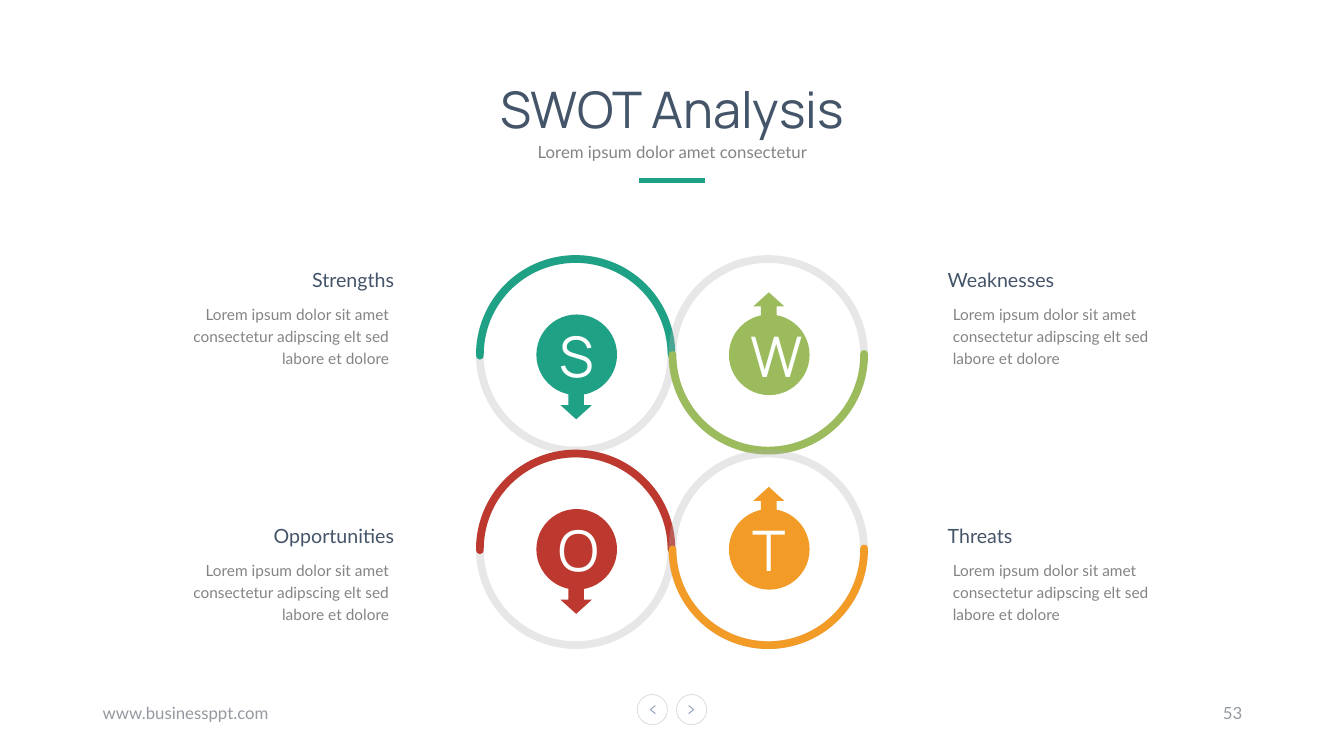
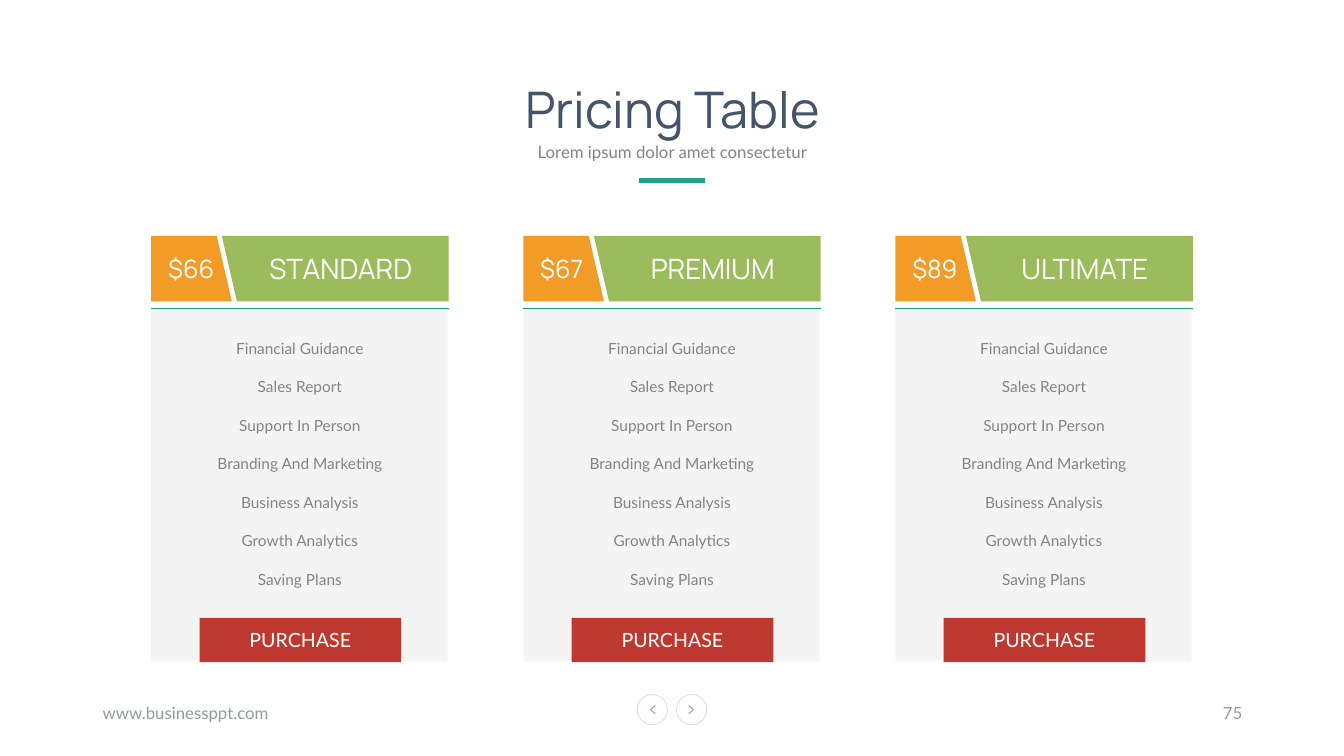
from dataclasses import dataclass, replace
from typing import Any, Optional

from lxml.etree import SubElement
from pptx import Presentation
from pptx.dml.color import RGBColor
from pptx.enum.shapes import MSO_CONNECTOR as Connector, MSO_SHAPE as Preset
from pptx.enum.text import MSO_ANCHOR as Anchor, MSO_AUTO_SIZE as AutoSize, PP_ALIGN as Align
from pptx.oxml.ns import qn
from pptx.util import Pt

EMU_PER_PX = 9144
COMPARISON_LAYOUT = 3 + 1


@dataclass(frozen=True)
class Theme:
    heading_font: str = "Manrope"
    body_font: str = "Lato"
    navy: str = "445469"
    grey: str = "848484"
    footer: str = "9499A1"
    teal: str = "1EA185"
    green: str = "9BBB5C"
    red: str = "BD392F"
    orange: str = "F29B26"
    ring: str = "B2B2B2"
    panel: str = "F2F2F2"
    outline: str = "D9D9D9"
    chevron: str = "99A8BD"
    white: str = "FFFFFF"
    letter: str = "FEFFFF"
    title_size: int = 36
    letter_size: int = 40
    plan_size: int = 20
    price_size: int = 18
    label_size: int = 14
    small_size: int = 12
    body_size: int = 11


THEME = Theme()


@dataclass(frozen=True)
class TextStyle:
    size: int
    color: str
    font: str = THEME.body_font
    align: Align = Align.LEFT
    anchor: Anchor = Anchor.TOP
    spacing: float = 1.0
    gap: float = 0
    inset: int = 10
    wrap: bool = True


@dataclass(frozen=True)
class Box:
    left: int
    top: int
    width: int
    height: int

    def emu(self) -> tuple[int, ...]:
        return tuple(px(v) for v in (self.left, self.top, self.width, self.height))


@dataclass(frozen=True)
class Quadrant:
    name: str
    color: str
    column: int
    row: int


@dataclass(frozen=True)
class Plan:
    name: str
    price: str


TITLE = TextStyle(THEME.title_size, THEME.navy, THEME.heading_font, Align.CENTER)
SUBTITLE = TextStyle(THEME.small_size, THEME.grey, align=Align.CENTER, spacing=1.4)
FOOTER = TextStyle(THEME.small_size, THEME.footer, anchor=Anchor.MIDDLE)
LABEL = TextStyle(THEME.label_size, THEME.navy, inset=5)
DETAIL = TextStyle(THEME.body_size, THEME.grey, spacing=1.2)
FEATURE = TextStyle(THEME.body_size, THEME.grey, align=Align.CENTER, gap=14.3)
LETTER = TextStyle(THEME.letter_size, THEME.letter, THEME.heading_font, Align.CENTER, Anchor.MIDDLE)
BUTTON = TextStyle(THEME.label_size, THEME.white, align=Align.CENTER, anchor=Anchor.MIDDLE)
PLAN = TextStyle(THEME.plan_size, THEME.white, THEME.heading_font, Align.CENTER)
PRICE = TextStyle(THEME.price_size, THEME.white, THEME.heading_font, wrap=False)

DETAIL_TEXT = "Lorem ipsum dolor sit amet consectetur adipscing elt sed labore et dolore"
QUADRANTS = (
    Quadrant("Strengths", THEME.teal, 0, 0),
    Quadrant("Weaknesses", THEME.green, 1, 0),
    Quadrant("Opportunities", THEME.red, 0, 1),
    Quadrant("Threats", THEME.orange, 1, 1),
)
PLANS = (Plan("STANDARD", "$66"), Plan("PREMIUM", "$67"), Plan("ULTIMATE", "$89"))
FEATURES = (
    "Financial Guidance",
    "Sales Report",
    "Support In Person",
    "Branding And Marketing",
    "Business Analysis",
    "Growth Analytics",
    "Saving Plans",
)


def px(value: int) -> int:
    return value * EMU_PER_PX


def assign(target: Any, values: dict[str, Any]) -> None:
    for name, value in values.items():
        setattr(target, name, value)


def write(shape: Any, lines: tuple[str, ...], style: TextStyle) -> None:
    frame = shape.text_frame
    side = px(style.inset)
    assign(frame, {
        "auto_size": AutoSize.NONE, "word_wrap": style.wrap, "vertical_anchor": style.anchor,
        "margin_left": side, "margin_right": side, "margin_top": px(5), "margin_bottom": px(5),
    })
    for index, line in enumerate(lines):
        para = frame.add_paragraph() if index else frame.paragraphs[0]
        if shape.is_placeholder:
            properties = para._p.get_or_add_pPr()
            properties.set("marL", "0")
            properties.set("indent", "0")
            SubElement(properties, qn("a:buNone"))
        assign(para, {
            "alignment": style.align, "line_spacing": style.spacing,
            "space_before": Pt(style.gap if index else 0), "space_after": Pt(0),
        })
        span = para.add_run()
        span.text = line
        assign(span.font, {"name": style.font, "size": Pt(style.size), "bold": False})
        span.font.color.rgb = RGBColor.from_string(style.color)


def add_text(page: Any, box: Box, text: str, style: TextStyle) -> None:
    write(page.shapes.add_textbox(*box.emu()), (text,), style)


def fill_placeholder(page: Any, number: int, box: Box, lines: tuple[str, ...], style: TextStyle) -> None:
    holder = page.placeholders[number]
    assign(holder, dict(zip(("left", "top", "width", "height"), box.emu())))
    holder.element.getparent().append(holder.element)
    write(holder, lines, style)


def set_alpha(shape: Any, percent: int) -> None:
    color = next(shape.element.spPr.iter(qn("a:srgbClr")))
    SubElement(color, qn("a:alpha")).set("val", str(percent * 1000))


def paint(shape: Any, fill: Optional[str] = None, line: Optional[str] = None, weight: float = 1) -> None:
    shape.shadow.inherit = False
    if fill:
        shape.fill.solid()
        shape.fill.fore_color.rgb = RGBColor.from_string(fill)
    else:
        shape.fill.background()
    if line:
        shape.line.color.rgb = RGBColor.from_string(line)
        shape.line.width = Pt(weight)
    else:
        shape.line.fill.background()


def add_preset(page: Any, preset: Preset, box: Box, fill: Optional[str] = None,
               line: Optional[str] = None, weight: float = 1, rotation: int = 0) -> Any:
    shape = page.shapes.add_shape(preset, *box.emu())
    shape.rotation = rotation
    paint(shape, fill, line, weight)
    return shape


def add_line(page: Any, start: tuple[int, int], end: tuple[int, int], color: str, weight: float) -> None:
    points = (px(value) for value in (*start, *end))
    line = page.shapes.add_connector(Connector.STRAIGHT, *points)
    line.line.color.rgb = RGBColor.from_string(color)
    line.line.width = Pt(weight)
    SubElement(line.element.spPr, qn("a:effectLst"))


def add_outline(page: Any, points: tuple[tuple[int, int], ...], fill: str) -> None:
    builder = page.shapes.build_freeform(*points[0], scale=EMU_PER_PX)
    builder.add_line_segments(points[1:], close=True)
    paint(builder.convert_to_shape(), fill)


def add_page(deck: Any, title: str, number: int) -> Any:
    page = deck.slides.add_slide(deck.slide_layouts[COMPARISON_LAYOUT])
    for left, tip, tail in ((632, 645, 650), (671, 688, 683)):
        add_preset(page, Preset.OVAL, Box(left, 689, 30, 30), line=THEME.outline, weight=0.5)
        for end in (700, 708):
            add_line(page, (tip, 704), (tail, end), THEME.chevron, 0.75)
    fill_placeholder(page, 0, Box(346, 72, 642, 71), (title,), TITLE)
    add_text(page, Box(431, 128, 472, 38), "Lorem ipsum dolor amet consectetur", SUBTITLE)
    add_line(page, (634, 179), (699, 179), THEME.teal, 3)
    add_text(page, Box(92, 687, 450, 40), "www.businessppt.com", FOOTER)
    add_text(page, Box(942, 687, 300, 40), str(number), replace(FOOTER, align=Align.RIGHT))
    return page


def remove_empty_placeholders(page: Any) -> None:
    for holder in list(page.placeholders):
        if not holder.text_frame.text:
            holder.element.getparent().remove(holder.element)


def draw_quadrant(page: Any, number: int, quadrant: Quadrant) -> None:
    on_right = quadrant.column == 1
    turn = 180 if on_right else 0
    left, top = 476 + 191 * quadrant.column, 257 + 193 * quadrant.row
    ring = Box(left, top, 190, 190)
    circle = add_preset(page, Preset.OVAL, ring, line=THEME.ring, weight=5.5)
    set_alpha(circle, 30)
    arc = add_preset(page, Preset.ARC, ring, line=quadrant.color, weight=5.5, rotation=turn)
    arc.adjustments[0], arc.adjustments[1] = 107.66, 0
    arc.element.spPr.find(qn("a:ln")).set("cap", "rnd")
    disc = add_preset(page, Preset.OVAL, Box(left + 56, top + 55, 80, 80), quadrant.color)
    write(disc, (quadrant.name[0],), LETTER)
    arrow_top = top + (33 if on_right else 131)
    add_preset(page, Preset.DOWN_ARROW, Box(left + 80, arrow_top, 31, 28), quadrant.color, rotation=turn)

    align = Align.LEFT if on_right else Align.RIGHT
    text_top = 261 + 254 * quadrant.row
    label_left, detail_left = (935, 935) if on_right else (209, 163)
    add_text(page, Box(label_left, text_top, 187, 34), quadrant.name, replace(LABEL, align=align))
    fill_placeholder(page, number, Box(detail_left, text_top + 33, 233, 77),
                     (DETAIL_TEXT,), replace(DETAIL, align=align))


def draw_plan(page: Any, number: int, plan: Plan) -> None:
    left = 150 + 369 * (number - 1)
    right, top, bottom = left + 295, 234, 299
    panel = add_preset(page, Preset.RECTANGLE, Box(left, 305, 294, 351), THEME.panel)
    set_alpha(panel, 80)
    add_outline(page, ((left, top), (left + 65, top), (left + 80, bottom), (left, bottom)), THEME.orange)
    add_outline(page, ((left + 70, top), (right, top), (right, bottom), (left + 85, bottom)), THEME.green)
    add_line(page, (left, 306), (right, 306), THEME.teal, 1.25)
    fill_placeholder(page, number, Box(left + 40, 331, 215, 260), FEATURES, FEATURE)
    button = add_preset(page, Preset.RECTANGLE, Box(left + 48, 613, 200, 44), THEME.red)
    write(button, ("PURCHASE",), BUTTON)
    add_text(page, Box(left + 101, 245, 174, 44), plan.name, PLAN)
    add_text(page, Box(left + 7, 246, 66, 40), plan.price, PRICE)


def main() -> None:
    deck = Presentation()
    assign(deck, {"slide_width": px(1333), "slide_height": px(750)})
    for title, number, draw, items in (
        ("SWOT Analysis", 53, draw_quadrant, QUADRANTS),
        ("Pricing Table", 75, draw_plan, PLANS),
    ):
        page = add_page(deck, title, number)
        for index, item in enumerate(items, start=1):
            draw(page, index, item)
        remove_empty_placeholders(page)
    deck.save("out.pptx")


if __name__ == "__main__":
    main()
